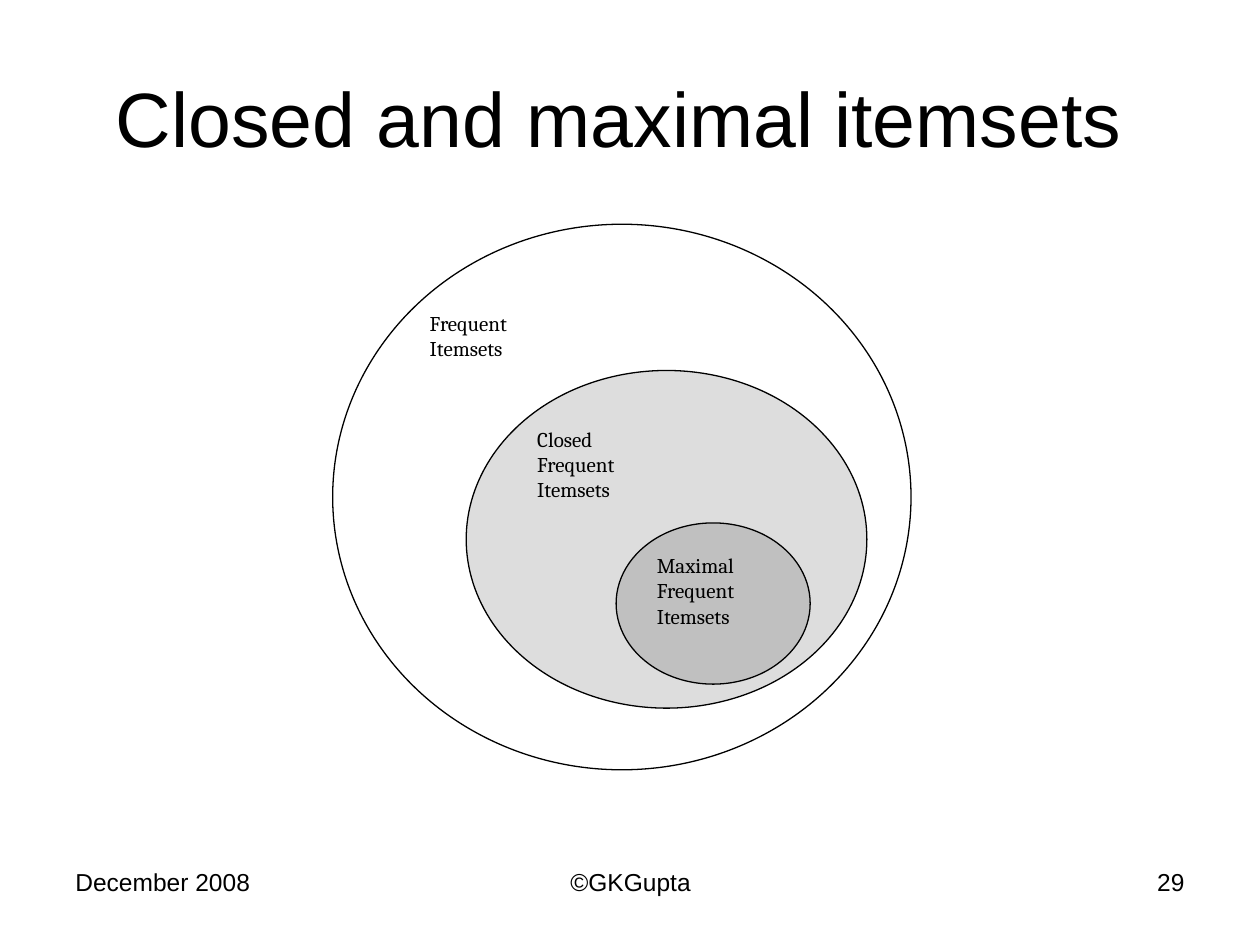
import pptx
import pptx.dml.color
import pptx.enum.shapes
import pptx.enum.text
import pptx.oxml.ns
import pptx.util
import lxml.etree

COLORS = {"ink": "000000", "paper": "FFFFFF", "closed": "DDDDDD", "maximal": "C0C0C0"}
ALIGN = pptx.enum.text.PP_ALIGN
ANCHOR = pptx.enum.text.MSO_ANCHOR


class SlideBuilder:
    """Draws styled elements on one slide, placed on a grid of 100 columns by 75 rows."""

    columns, rows = 100, 75
    heading_font, label_font = "Arial", "Cambria"
    title_size, footer_size, label_size = 44, 14, 12

    def __init__(self, prs):
        self.prs = prs
        self.slide = prs.slides.add_slide(prs.slide_layouts[5])
        fill = self.slide.background.fill
        fill.solid()
        fill.fore_color.rgb = self.color("paper")

    def color(self, name):
        return pptx.dml.color.RGBColor.from_string(COLORS[name])

    def box(self, left, top, width, height):
        col = self.prs.slide_width / self.columns
        row = self.prs.slide_height / self.rows
        return [round(n) for n in (left * col, top * row, width * col, height * row)]

    def set_text(self, sp, text, font, size, align, anchor=ANCHOR.TOP):
        tf = sp.text_frame
        tf.text = text
        tf.word_wrap = True
        tf.auto_size = pptx.enum.text.MSO_AUTO_SIZE.NONE
        tf.vertical_anchor = anchor
        p = tf.paragraphs[0]
        p.alignment = align
        for r in p.runs:
            r.font.name = font
            r.font.size = pptx.util.Pt(size)
            r.font.color.rgb = self.color("ink")
        for br in p._p.findall(pptx.oxml.ns.qn("a:br")):
            lxml.etree.SubElement(br, pptx.oxml.ns.qn("a:rPr"), sz=str(size * 100))

    def title(self, text, *place):
        sp = self.slide.shapes.title
        sp.left, sp.top, sp.width, sp.height = self.box(*place)
        self.set_text(sp, text, self.heading_font, self.title_size, ALIGN.CENTER, ANCHOR.MIDDLE)

    def footer(self, text, left, width, align):
        sp = self.slide.shapes.add_textbox(*self.box(left, 68.3, width, 5.2))
        self.set_text(sp, text, self.heading_font, self.footer_size, align)

    def group(self):
        return self.slide.shapes.add_group_shape()

    def ellipse(self, group, text, place, fill=None):
        sp = group.shapes.add_shape(pptx.enum.shapes.MSO_SHAPE.OVAL, *self.box(*place))
        sp.shadow.inherit = False
        if fill:
            sp.fill.solid()
            sp.fill.fore_color.rgb = self.color(fill)
        else:
            sp.fill.background()
        sp.line.color.rgb = self.color("ink")
        sp.line.width = pptx.util.Pt(0.75)
        self.set_text(sp, text, self.label_font, self.label_size, ALIGN.LEFT)


def main():
    prs = pptx.Presentation()
    prs.slide_width = pptx.util.Inches(10)
    prs.slide_height = pptx.util.Inches(7.5)
    s = SlideBuilder(prs)
    s.title("Closed and maximal itemsets ", 5, 3, 90, 12.5)

    venn = s.group()
    s.ellipse(venn, "Closed\vFrequent\vItemsets", (37, 29.4, 31.8, 26.8), "closed")
    s.ellipse(venn, "Maximal\vFrequent\vItemsets", (48.9, 41.5, 15.4, 12.8), "maximal")
    s.ellipse(venn, "Frequent\vItemsets", (26.4, 17.8, 45.9, 43.3))

    s.footer("©GKGupta", 34.2, 31.7, ALIGN.CENTER)
    s.footer("29", 71.7, 23.3, ALIGN.RIGHT)
    s.footer("December 2008", 5, 23.3, ALIGN.LEFT)
    prs.save("out.pptx")


if __name__ == "__main__":
    main()
